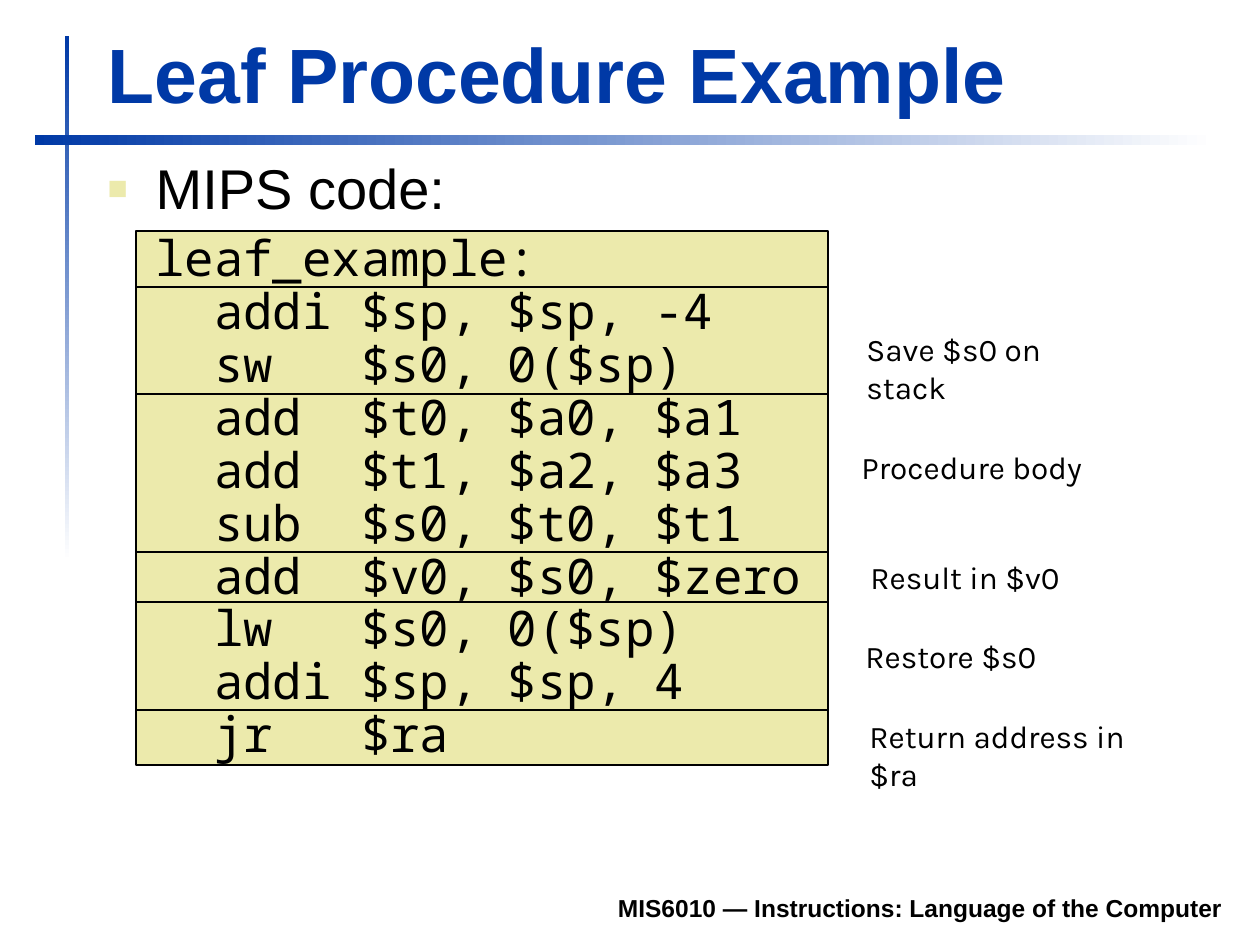
from lxml import etree
from pptx import Presentation, util as u
from pptx.dml.color import RGBColor
from pptx.enum import shapes, text
from pptx.oxml.ns import qn

SCALE = 914400 / 126
COLORS = {"blue": "0039A6", "white": "FFFFFF", "black": "000000", "cream": "ECEAAC"}
CODE = [
    "leaf_example:",
    "  addi $sp, $sp, -4",
    "  sw   $s0, 0($sp)",
    "  add  $t0, $a0, $a1",
    "  add  $t1, $a2, $a3",
    "  sub  $s0, $t0, $t1",
    "  add  $v0, $s0, $zero",
    "  lw   $s0, 0($sp)",
    "  addi $sp, $sp, 4",
    "  jr   $ra",
]
CODE_EDGES = [231, 287, 394, 552, 602, 710, 765]
NOTES = [
    ("Save $s0 on stack", 854, 324, 283),
    ("Procedure body", 849, 442, 261),
    ("Result in $v0", 858, 552, 314),
    ("Restore $s0", 853, 631, 198),
    ("Return address in $ra", 857, 711, 335),
]


def px(length):
    return u.Emu(round(length * SCALE))


def color(name):
    return RGBColor.from_string(COLORS[name])


def style(paragraph, font_name, size, color_name="black", bold=False):
    font = paragraph.font
    font.name, font.size, font.bold = font_name, u.Pt(size), bold
    font.color.rgb = color(color_name)


def add_rectangle(slide, left, top, width, height):
    shape = slide.shapes.add_shape(
        shapes.MSO_SHAPE.RECTANGLE, px(left), px(top), px(width), px(height)
    )
    shape.shadow.inherit = False
    return shape


def add_gradient_bar(slide, left, top, width, height, angle):
    bar = add_rectangle(slide, left, top, width, height)
    bar.line.fill.background()
    bar.fill.gradient()
    bar.fill.gradient_angle = angle
    for stop, name in zip(bar.fill.gradient_stops, ("blue", "white")):
        stop.color.rgb = color(name)


def add_code_box(slide, top, bottom):
    box = add_rectangle(slide, 136, top, 692, bottom - top)
    box.fill.solid()
    box.fill.fore_color.rgb = color("cream")
    box.line.color.rgb = color("black")
    box.line.width = u.Pt(0.75)


def add_label(slide, wording, left, top, width, height=50):
    label = slide.shapes.add_textbox(px(left), px(top), px(width), px(height))
    label.text_frame.word_wrap = True
    paragraph = label.text_frame.paragraphs[0]
    paragraph.text = wording
    style(paragraph, "Karla", 18)
    return label


def add_footer(slide):
    footer = add_label(
        slide, "MIS6010 — Instructions: Language of the Computer", 233, 879, 1002
    )
    footer.text_frame.vertical_anchor = text.MSO_ANCHOR.BOTTOM
    paragraph = footer.text_frame.paragraphs[0]
    paragraph.alignment = text.PP_ALIGN.RIGHT
    style(paragraph, "Arial", 14, bold=True)


def place(placeholder, left, top, width, height, anchor):
    placeholder.left, placeholder.top = px(left), px(top)
    placeholder.width, placeholder.height = px(width), px(height)
    frame = placeholder.text_frame
    frame.auto_size = text.MSO_AUTO_SIZE.NONE
    frame.vertical_anchor = anchor
    tree = placeholder._element.getparent()
    tree.append(placeholder._element)
    return frame


def fill_title(slide):
    frame = place(slide.shapes.title, 95, 20, 1138, 105, text.MSO_ANCHOR.BOTTOM)
    paragraph = frame.paragraphs[0]
    paragraph.text = "Leaf Procedure Example"
    paragraph.alignment = text.PP_ALIGN.LEFT
    style(paragraph, "Arial", 44, "blue", bold=True)


def set_layout(paragraph, space_before, indent):
    paragraph.line_spacing = 0.9
    paragraph.space_before = u.Pt(space_before)
    properties = paragraph._p.get_or_add_pPr()
    properties.set("marL", str(px(48)))
    properties.set("indent", str(px(indent)))
    return properties


def add_bullet(properties):
    bullet_color = etree.SubElement(properties, qn("a:buClr"))
    etree.SubElement(bullet_color, qn("a:srgbClr"), val=COLORS["cream"])
    etree.SubElement(properties, qn("a:buSzPct"), val="60000")
    etree.SubElement(properties, qn("a:buFont"), typeface="Arial")
    etree.SubElement(properties, qn("a:buChar"), char="■")


def fill_body(slide):
    frame = place(slide.placeholders[1], 95, 155, 1139, 704, text.MSO_ANCHOR.TOP)
    heading = frame.paragraphs[0]
    heading.text = "MIPS code:"
    add_bullet(set_layout(heading, 8, -48))
    style(heading, "Arial", 32)
    listing = frame.add_paragraph()
    listing.text = "\v".join(CODE)
    etree.SubElement(set_layout(listing, 7, 0), qn("a:buNone"))
    style(listing, "Noto Sans Mono", 28)


def main():
    presentation = Presentation()
    presentation.slide_width, presentation.slide_height = px(1260), px(945)
    slide = presentation.slides.add_slide(presentation.slide_layouts[1])
    add_gradient_bar(slide, 65, 36, 4, 525, 270)
    add_gradient_bar(slide, 35, 135, 1180, 10, 0)
    add_footer(slide)
    for top, bottom in zip(CODE_EDGES, CODE_EDGES[1:]):
        add_code_box(slide, top, bottom)
    fill_title(slide)
    fill_body(slide)
    for note in NOTES:
        add_label(slide, *note)
    presentation.save("out.pptx")


if __name__ == "__main__":
    main()
